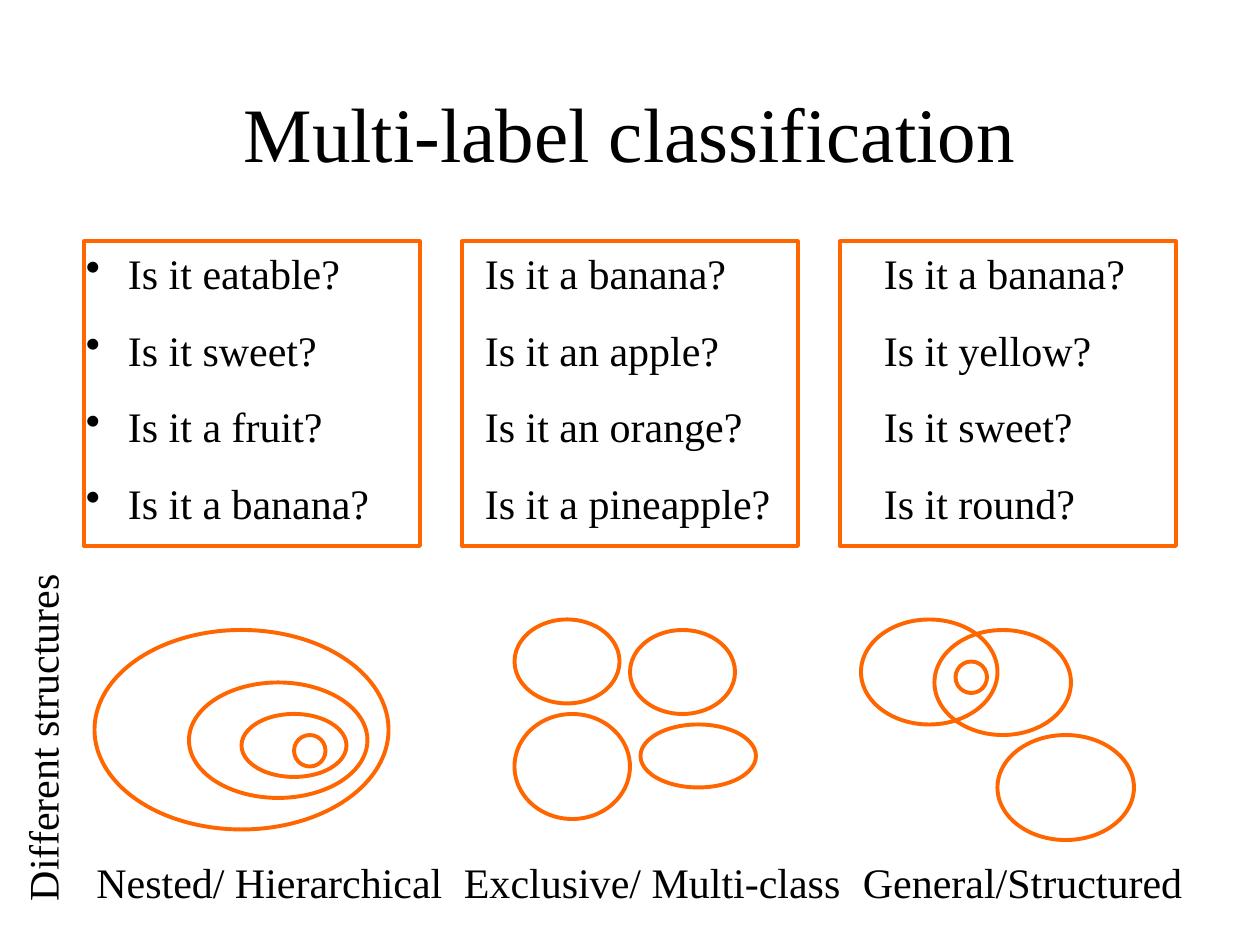
import dataclasses

import lxml.etree
import pptx
import pptx.dml.color
import pptx.enum.shapes
import pptx.enum.text
import pptx.oxml.ns
import pptx.util

SCALE = 7620


@dataclasses.dataclass(frozen=True)
class Theme:
    font: str = "Times New Roman"
    ink: str = "000000"
    outline: str = "FF6600"
    paper: str = "FFFFFF"
    title_size: int = 44
    body_size: int = 24
    space_before: int = 15
    outline_width: float = 2.25


THEME = Theme()

COLUMN_LEFT, COLUMN_WIDTH, COLUMN_PITCH = 80, 320, 360
QUESTIONS_TOP, QUESTIONS_HEIGHT = 230, 290
SETS_TOP, LABELS_TOP, LABEL_HEIGHT = 590, 810, 60
BULLET_INDENT, BULLET_HANG = 70, 40

STRUCTURES = [
    dict(
        questions=["Is it eatable?", "Is it sweet?", "Is it a fruit?", "Is it a banana?"],
        questions_offset=-40, questions_width=390, bulleted=True,
        sets=[(100, 60, 170, 110), (10, 10, 280, 190), (150, 90, 100, 60), (200, 110, 30, 30)],
        grouped=True,
        label="Nested/ Hierarchical", label_offset=0, label_width=370,
    ),
    dict(
        questions=["Is it a banana?", "Is it an apple?", "Is it an orange?", "Is it a pineapple?"],
        questions_offset=10, questions_width=310, bulleted=False,
        sets=[(50, 0, 100, 80), (160, 10, 100, 80), (50, 90, 110, 100), (170, 100, 110, 60)],
        grouped=False,
        label="Exclusive/ Multi-class", label_offset=-10, label_width=420,
    ),
    dict(
        questions=["Is it a banana?", "Is it yellow?", "Is it sweet?", "Is it round?"],
        questions_offset=30, questions_width=310, bulleted=False,
        sets=[(20, 0, 130, 100), (90, 10, 130, 100), (150, 110, 130, 100), (110, 40, 30, 30)],
        grouped=False,
        label="General/Structured", label_offset=10, label_width=360,
    ),
]


def px(length):
    return pptx.util.Emu(length * SCALE)


def rgb(value):
    return pptx.dml.color.RGBColor.from_string(value)


def style_font(paragraph, size):
    for run in paragraph.runs:
        run.font.name = THEME.font
        run.font.size = pptx.util.Pt(size)
        run.font.color.rgb = rgb(THEME.ink)


def add_bullet(paragraph):
    properties = paragraph._p.get_or_add_pPr()
    properties.set("marL", str(px(BULLET_INDENT)))
    properties.set("indent", str(-px(BULLET_HANG)))
    bullet = lxml.etree.SubElement(properties, pptx.oxml.ns.qn("a:buChar"))
    bullet.set("char", "•")


def add_lines(slide, box, lines, bulleted=False):
    block = slide.shapes.add_textbox(*map(px, box))
    frame = block.text_frame
    frame.word_wrap = True
    frame.text = "\n".join(lines)
    for position, paragraph in enumerate(frame.paragraphs):
        if bulleted:
            add_bullet(paragraph)
        if position:
            paragraph.space_before = pptx.util.Pt(THEME.space_before)
        style_font(paragraph, THEME.body_size)
    return block


def add_outline(shapes, kind, box):
    outline = shapes.add_shape(kind, *map(px, box))
    outline.shadow.inherit = False
    outline.fill.background()
    outline.line.color.rgb = rgb(THEME.outline)
    outline.line.width = pptx.util.Pt(THEME.outline_width)


def place_title(slide, box):
    title = slide.shapes.title
    title.left, title.top, title.width, title.height = map(px, box)
    title.text_frame.text = "Multi-label classification"
    title.text_frame.vertical_anchor = pptx.enum.text.MSO_ANCHOR.MIDDLE
    heading = title.text_frame.paragraphs[0]
    heading.alignment = pptx.enum.text.PP_ALIGN.CENTER
    style_font(heading, THEME.title_size)


def place_questions(slide, box, structure):
    left, top, width, height = box
    text_box = (left + structure["questions_offset"], top,
                structure["questions_width"], height - 10)
    add_lines(slide, text_box, structure["questions"], structure["bulleted"])
    add_outline(slide.shapes, pptx.enum.shapes.MSO_SHAPE.RECTANGLE, box)


def place_sets(slide, left, top, structure):
    shapes = slide.shapes
    if structure["grouped"]:
        shapes = shapes.add_group_shape().shapes
    for x, y, width, height in structure["sets"]:
        add_outline(shapes, pptx.enum.shapes.MSO_SHAPE.OVAL,
                    (left + x, top + y, width, height))


def place_label(slide, left, top, structure):
    box = (left + structure["label_offset"], top, structure["label_width"], LABEL_HEIGHT)
    add_lines(slide, box, [structure["label"]])


def place_side_heading(slide, box):
    side_heading = add_lines(slide, box, ["Different structures"])
    side_heading.rotation = 270


def main():
    deck = pptx.Presentation()
    deck.slide_width, deck.slide_height = px(1200), px(900)
    slide = deck.slides.add_slide(deck.slide_layouts[5])
    slide.background.fill.solid()
    slide.background.fill.fore_color.rgb = rgb(THEME.paper)

    place_title(slide, (90, 50, 1020, 150))
    for column, structure in enumerate(STRUCTURES):
        left = COLUMN_LEFT + column * COLUMN_PITCH
        place_questions(slide, (left, QUESTIONS_TOP, COLUMN_WIDTH, QUESTIONS_HEIGHT), structure)
        place_sets(slide, left, SETS_TOP, structure)
        place_label(slide, left, LABELS_TOP, structure)
    place_side_heading(slide, (-170, 630, 420, LABEL_HEIGHT))

    deck.save("out.pptx")


if __name__ == "__main__":
    main()
